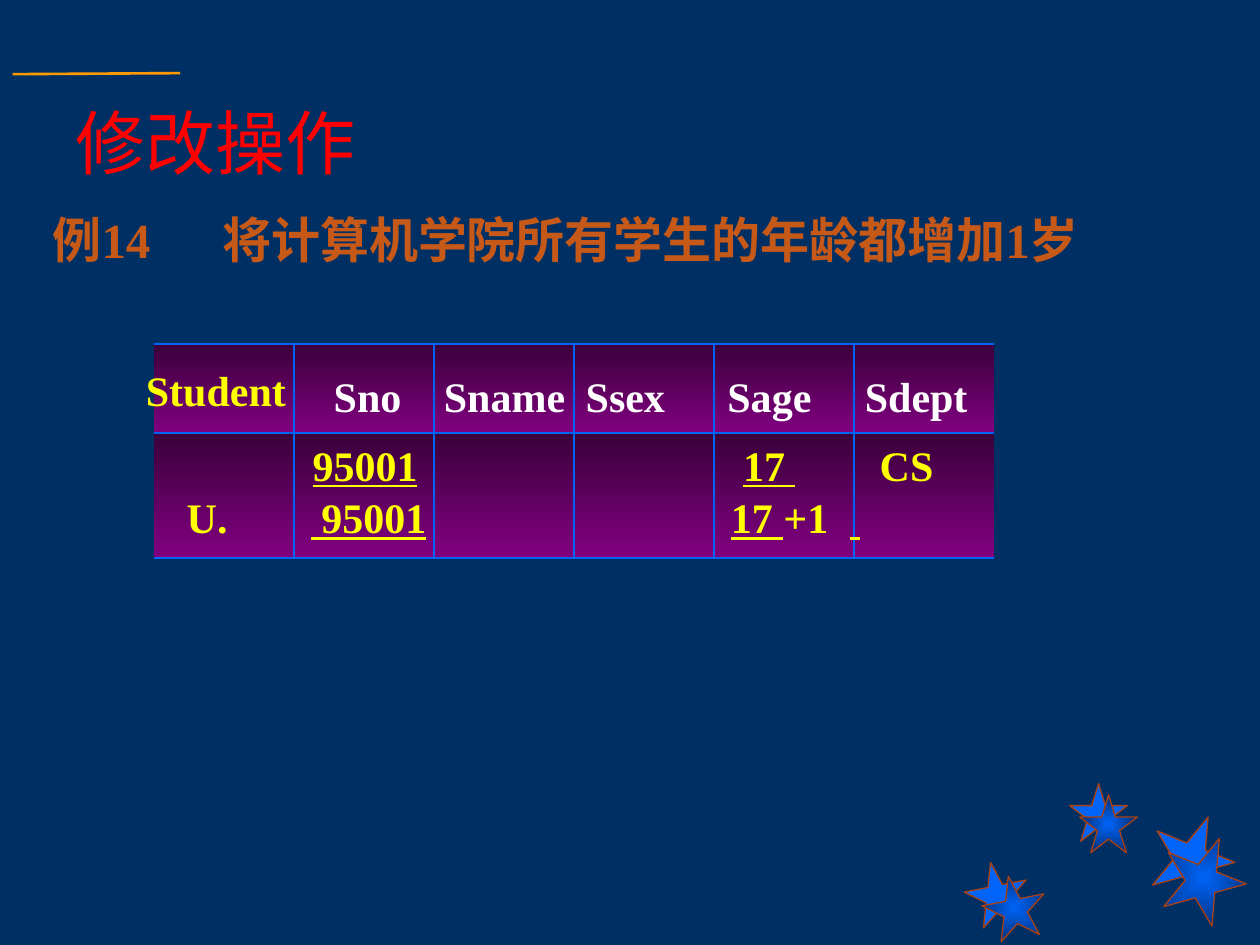
import pptx
import pptx.dml.color
import pptx.enum.shapes
import pptx.enum.text
import pptx.oxml
import pptx.oxml.ns
import pptx.util

Pt = pptx.util.Pt
BLUE, YELLOW, WHITE = "0064F8", "FFFF00", "FFFFFF"
NAMESPACE = pptx.oxml.ns.nsdecls("a")


def colour(value):
    return pptx.dml.color.RGBColor.from_string(value)


def write(para, text, size=24, fill=YELLOW, bold=True, underline=False):
    span = para.add_run()
    span.text = text
    span.font.name = "Times New Roman"
    span.font.size = Pt(size)
    span.font.bold = bold
    span.font.underline = underline
    span.font.color.rgb = colour(fill)


deck = pptx.Presentation()
deck.slide_width, deck.slide_height = Pt(720), Pt(540)
page = deck.slides.add_slide(deck.slide_layouts[5])
page.background.fill.solid()
page.background.fill.fore_color.rgb = colour("003063")

stars = [
    (551.5, 492.5, 36, 349, False),
    (611.3, 447.8, 33, 0, False),
    (657.4, 465.1, 48, 22, False),
    (561.6, 500.4, 36, 349, True),
    (617, 454.3, 33, 0, True),
    (663.8, 477.4, 48, 22, True),
]
for left, top, size, rotation, shaded in stars:
    star = page.shapes.add_shape(
        pptx.enum.shapes.MSO_SHAPE.STAR_5_POINT, Pt(left), Pt(top), Pt(size), Pt(size))
    star.rotation = rotation
    star.shadow.inherit = False
    star.line.color.rgb = colour("A94113")
    star.line.width = Pt(0.75)
    if shaded:
        star.fill.gradient()
        for stop, value in zip(star.fill.gradient_stops, (BLUE, "002E72")):
            stop.color.rgb = colour(value)
        linear = star.element.spPr.find(".//" + pptx.oxml.ns.qn("a:lin"))
        linear.getparent().replace(linear, pptx.oxml.parse_xml(
            f'<a:path {NAMESPACE} path="rect">'
            '<a:fillToRect l="50000" t="50000" r="50000" b="50000"/></a:path>'))
    else:
        star.fill.solid()
        star.fill.fore_color.rgb = colour(BLUE)

title = page.shapes.title
title.left, title.top, title.width, title.height = Pt(36), Pt(43.2), Pt(684), Pt(74.9)
title.text_frame.vertical_anchor = pptx.enum.text.MSO_ANCHOR.MIDDLE
title_para = title.text_frame.paragraphs[0]
title_para.alignment = pptx.enum.text.PP_ALIGN.LEFT
write(title_para, "修改操作", size=40, fill="FF0000", bold=False)

rule = page.shapes.add_connector(
    pptx.enum.shapes.MSO_CONNECTOR.STRAIGHT, Pt(7.2), Pt(42.4), Pt(103), Pt(41.8))
rule.line.color.rgb = colour("FF9900")
rule.line.width = Pt(1.5)
rule.element.spPr.append(pptx.oxml.parse_xml(f"<a:effectLst {NAMESPACE}/>"))

table = page.shapes.add_table(2, 6, Pt(88), Pt(196.5), Pt(480), Pt(122.4)).table
for column in table.columns:
    column.width = Pt(80)
for row, height in zip(table.rows, (51, 71.4)):
    row.height = Pt(height)
    for number, cell in enumerate(row.cells):
        properties = cell._tc.get_or_add_tcPr()
        for side, shown in (("L", number > 0), ("R", number < 5), ("T", True), ("B", True)):
            paint = (f'<a:solidFill><a:srgbClr val="{BLUE}"/></a:solidFill>'
                     if shown else "<a:noFill/>")
            properties.append(pptx.oxml.parse_xml(
                f'<a:ln{side} {NAMESPACE} w="{Pt(1.47)}">{paint}</a:ln{side}>'))
        cell.fill.gradient()
        cell.fill.gradient_angle = 270
        for stop, value in zip(cell.fill.gradient_stops, ("3B003B", "800080")):
            stop.color.rgb = colour(value)

example = dict(size=28, fill="C65918")
heading = dict(fill=WHITE)
underlined = dict(underline=True)
boxes = [
    ((23, 116, 620.6, 41), True,
     [([97], [("例14\t将计算机学院所有学生的年龄都增加1岁", example)])]),
    ((76.3, 204.5, 100, 36), False, [([], [("Student", {})])]),
    ((172.1, 208.1, 392.4, 36), True,
     [([11.5, 74.5, 155.5, 236.5, 315],
       [("\tSno\tSname\tSsex\tSage\tSdept", heading)])]),
    ((93.6, 247.7, 470.9, 64.8), True,
     [([78, 324, 402],
       [("\t", {}), ("95001", underlined), ("\t", {}), ("17 ", underlined), ("\tCS", {})]),
      ([6, 77, 317, 385],
       [("\tU.\t", {}), (" 95001", underlined), ("\t", {}), ("17 ", underlined),
        ("+1\t", {}), (" ", underlined)])]),
]
for place, wrap, lines in boxes:
    box = page.shapes.add_textbox(*map(Pt, place))
    frame = box.text_frame
    frame.word_wrap = wrap
    for number, (tabs, spans) in enumerate(lines):
        para = frame.add_paragraph() if number else frame.paragraphs[0]
        if number:
            para.space_before = Pt(1)
        if tabs:
            stops = "".join(f'<a:tab pos="{Pt(tab)}" algn="l"/>' for tab in tabs)
            para._p.get_or_add_pPr().append(pptx.oxml.parse_xml(
                f"<a:tabLst {NAMESPACE}>{stops}</a:tabLst>"))
        for text, style in spans:
            write(para, text, **style)

deck.save("out.pptx")
